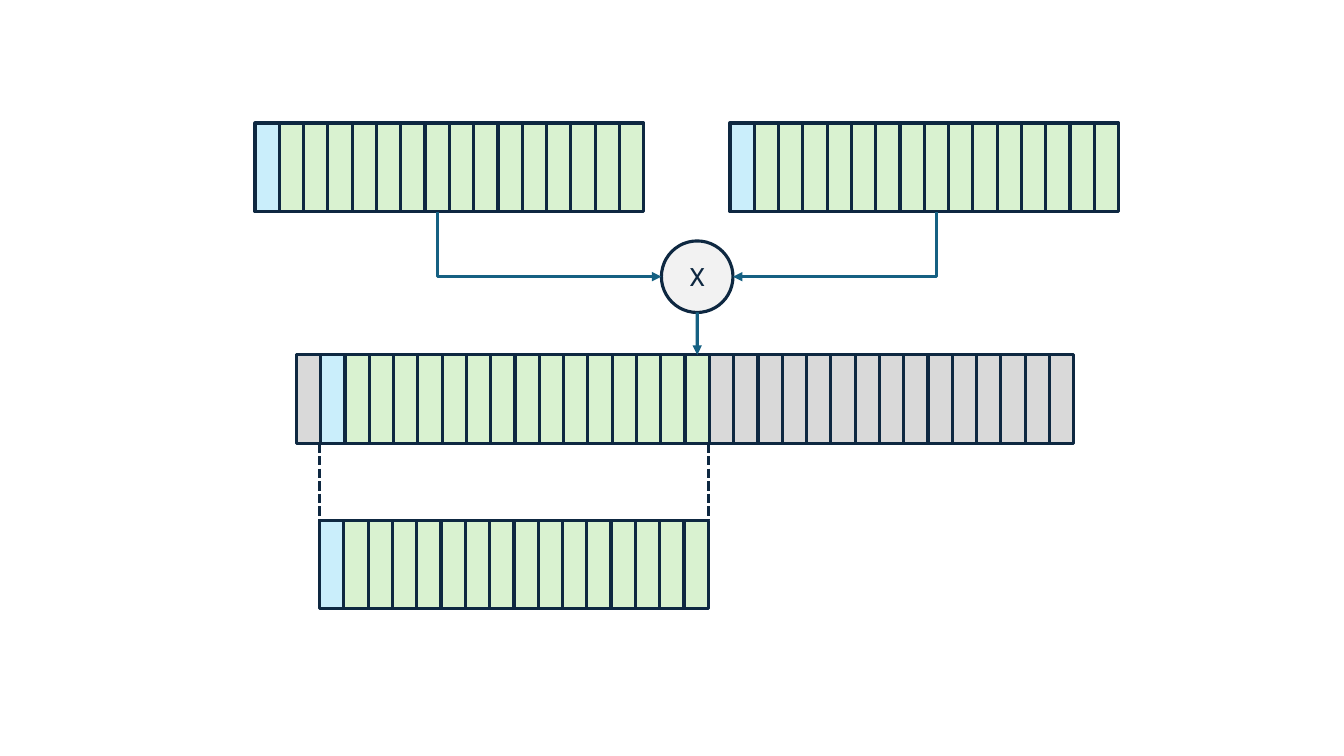
from dataclasses import dataclass

from lxml.etree import SubElement
from pptx import Presentation
from pptx.dml.color import RGBColor
from pptx.enum.dml import MSO_LINE
from pptx.enum.shapes import MSO_CONNECTOR, MSO_SHAPE
from pptx.enum.text import MSO_ANCHOR, PP_ALIGN
from pptx.oxml.ns import qn
from pptx.shapes.autoshape import Shape
from pptx.shapes.connector import Connector
from pptx.slide import Slide
from pptx.util import Inches, Pt

NAVY, TEAL = "0E2841", "156082"
SIGN, VALUE, DROPPED, OPERATOR = "CAEEFB", "D9F2D0", "D9D9D9", "F2F2F2"
BITS = 16
BIT_WIDTH = 7.71 / (2 * BITS)
BIT_HEIGHT = 0.88
LINE_WIDTH = 2.25
WORD = [SIGN] + [VALUE] * (BITS - 1)


@dataclass
class Register:
    left: float
    top: float
    fills: list[str]

    @property
    def right(self) -> float:
        return self.left + len(self.fills) * BIT_WIDTH

    @property
    def bottom(self) -> float:
        return self.top + BIT_HEIGHT

    def middle_of(self, bit: int) -> float:
        return self.left + (bit + 0.5) * BIT_WIDTH


@dataclass
class Feed:
    operand: Register
    bit: int
    target_x: float


def color(code: str) -> RGBColor:
    return RGBColor.from_string(code)


def style_shape(shape: Shape, fill: str) -> None:
    shape.shadow.inherit = False
    shape.fill.solid()
    shape.fill.fore_color.rgb = color(fill)
    shape.line.color.rgb = color(NAVY)
    shape.line.width = Pt(LINE_WIDTH)


def draw_register(slide: Slide, register: Register) -> list[Shape]:
    group = slide.shapes.add_group_shape()
    bits = []
    for index, fill in enumerate(register.fills):
        bit = group.shapes.add_shape(
            MSO_SHAPE.RECTANGLE,
            Inches(register.left + index * BIT_WIDTH), Inches(register.top),
            Inches(BIT_WIDTH), Inches(BIT_HEIGHT))
        style_shape(bit, fill)
        bits.append(bit)
    return bits


def draw_line(slide: Slide, start: tuple[float, float], end: tuple[float, float],
              code: str, kind: MSO_CONNECTOR = MSO_CONNECTOR.STRAIGHT,
              arrow: bool = False) -> Connector:
    line = slide.shapes.add_connector(kind, *map(Inches, start + end))
    line.line.color.rgb = color(code)
    line.line.width = Pt(LINE_WIDTH)
    if arrow:
        SubElement(line.line._get_or_add_ln(), qn("a:tailEnd"), type="triangle")
    SubElement(line._element.spPr, qn("a:effectLst"))
    return line


def draw_feed(slide: Slide, feed: Feed, target_y: float, source: Shape) -> None:
    """Arrow that leaves a bit downwards and turns once towards the operator."""
    x, y = feed.operand.middle_of(feed.bit), feed.operand.bottom
    line = draw_line(slide, (x, y), (feed.target_x, target_y), TEAL,
                     MSO_CONNECTOR.ELBOW, arrow=True)
    line.begin_connect(source, 2)
    run, drop = abs(feed.target_x - x), target_y - y
    # A single-bend connector starts sideways, so it is turned a quarter
    properties = line._element.spPr
    properties.find(qn("a:prstGeom")).set("prst", "bentConnector2")
    frame = properties.find(qn("a:xfrm"))
    for flip in ("flipH", "flipV"):
        frame.attrib.pop(flip, None)
    rightwards = feed.target_x > x
    frame.set("rot", str((270 if rightwards else 90) * 60000))
    if rightwards:
        frame.set("flipH", "1")
    line.left = Inches((x + feed.target_x - drop) / 2)
    line.top = Inches((y + target_y - run) / 2)
    line.width, line.height = Inches(drop), Inches(run)


def draw_operator(slide: Slide, left: float, top: float, size: float) -> None:
    operator = slide.shapes.add_shape(
        MSO_SHAPE.OVAL, Inches(left), Inches(top), Inches(size), Inches(size))
    style_shape(operator, OPERATOR)
    operator.text_frame.text = "X"
    operator.text_frame.vertical_anchor = MSO_ANCHOR.MIDDLE
    paragraph = operator.text_frame.paragraphs[0]
    paragraph.alignment = PP_ALIGN.CENTER
    font = paragraph.runs[0].font
    font.name, font.size = "Roboto", Pt(18)
    font.color.rgb = color(NAVY)


def main() -> None:
    presentation = Presentation()
    presentation.slide_width = Inches(13.33)
    presentation.slide_height = Inches(7.5)
    slide = presentation.slides.add_slide(presentation.slide_layouts[6])

    # Operands and the double-width product
    first = Register(2.53, 1.22, WORD)
    second = Register(7.24, 1.22, WORD)
    product = Register(2.94, 3.52, [DROPPED] + WORD + [DROPPED] * (BITS - 1))
    first_bits = draw_register(slide, first)
    second_bits = draw_register(slide, second)
    product_bits = draw_register(slide, product)

    # Multiplication
    left, top, size = 6.56, 2.39, 0.71
    center_x, center_y = left + size / 2, top + size / 2
    draw_operator(slide, left, top, size)
    for feed, bits in ((Feed(first, 7, left), first_bits),
                       (Feed(second, 8, left + size), second_bits)):
        draw_feed(slide, feed, center_y, bits[feed.bit])
    output = draw_line(slide, (center_x, top + size), (center_x, product.top),
                       TEAL, arrow=True)
    output.end_connect(product_bits[BITS], 0)

    # Bits kept as the result
    result = Register(3.17, 5.16, WORD)
    draw_register(slide, result)
    for x in (result.left, result.right):
        guide = draw_line(slide, (x, product.bottom), (x, result.top), NAVY)
        guide.line.dash_style = MSO_LINE.SQUARE_DOT

    presentation.save("out.pptx")


if __name__ == "__main__":
    main()
